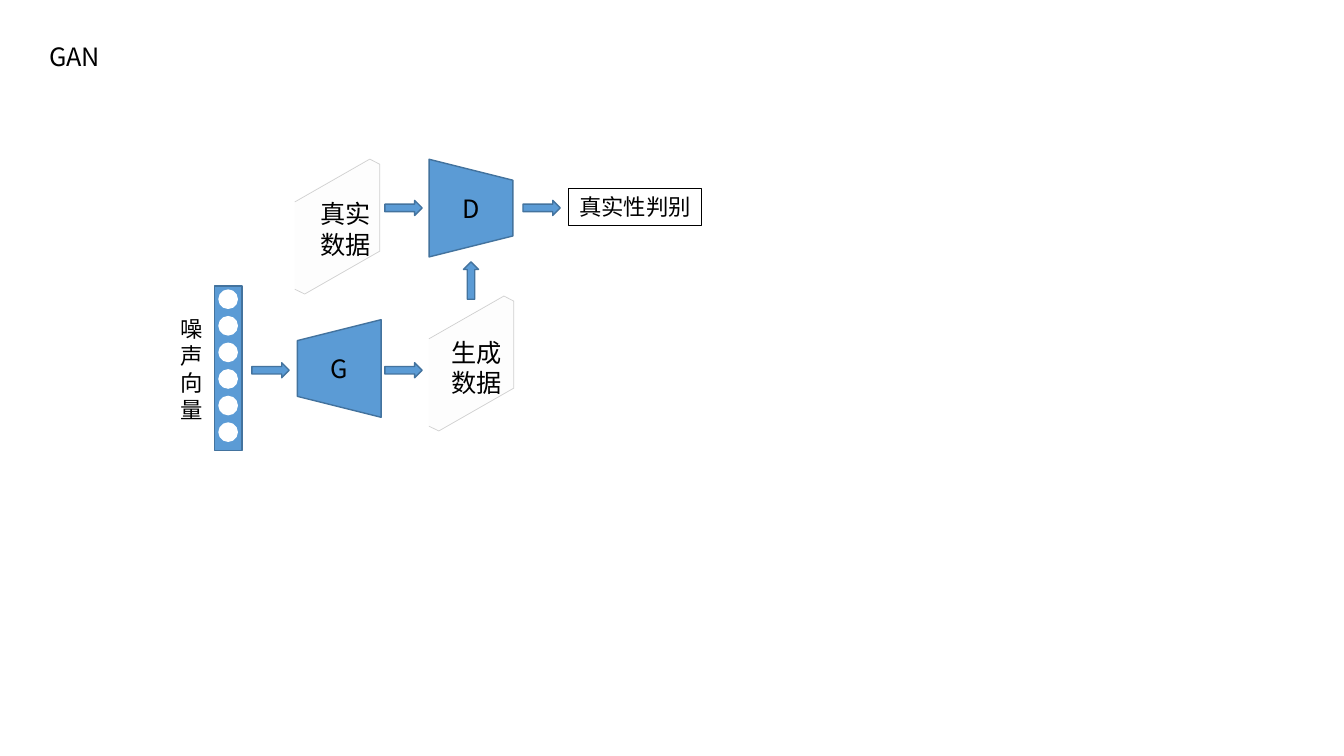
"""Build a slide that outlines a generative adversarial network."""
from lxml import etree
from pptx import Presentation
from pptx.dml.color import RGBColor
from pptx.enum import shapes, text
from pptx.oxml import ns
from pptx.util import Cm, Pt

BLACK = RGBColor(0x00, 0x00, 0x00)
WHITE = RGBColor(0xFF, 0xFF, 0xFF)
BLUE = RGBColor(0x5B, 0x9B, 0xD5)
DARK_BLUE = RGBColor(0x43, 0x73, 0x9E)
PANEL_FILL = RGBColor(0xFD, 0xFD, 0xFD)
PANEL_LINE = RGBColor(0xD0, 0xD0, 0xD0)

FONT = "Noto Sans CJK SC"
KINDS = shapes.MSO_SHAPE
PANEL_OUTLINE = [(0, 1.08), (1.89, 0), (2.14, 0.13), (2.14, 2.32), (0.25, 3.4), (0, 3.28)]


def set_attributes(target, values):
    """Set each attribute named in a dict of format values."""
    for name, value in values.items():
        setattr(target, name, value)


def paint(shape, fill, line, width=1):
    """Give a shape its fill and line, without a shadow."""
    shape.shadow.inherit = False
    if fill is None:
        shape.fill.background()
    else:
        shape.fill.solid()
        shape.fill.fore_color.rgb = fill
    shape.line.color.rgb = line
    shape.line.width = Pt(width)


def add_block(slide, kind, box, fill=BLUE, line=DARK_BLUE, rotation=0, width=1):
    """Add a preset shape whose box is given in centimetres."""
    shape = slide.shapes.add_shape(kind, *map(Cm, box))
    paint(shape, fill, line, width)
    shape.rotation = rotation
    return shape


def add_arrow(slide, left, top, rotation=0):
    """Add one block arrow of the common size."""
    add_block(slide, KINDS.RIGHT_ARROW, (left, top, 0.94, 0.38), rotation=rotation)


def add_panel(slide, left, top):
    """Add a slanted data panel that is open on its left edge."""
    points = [(Cm(left + x), Cm(top + y)) for x, y in PANEL_OUTLINE]
    builder = slide.shapes.build_freeform(*points[0])
    builder.add_line_segments(points[1:], close=False)
    paint(builder.convert_to_shape(), PANEL_FILL, PANEL_LINE, 0.5)


def write(shape, lines, size=18, wrap=False, align=text.PP_ALIGN.LEFT):
    """Write lines of text into a shape, one paragraph each."""
    frame = shape.text_frame
    set_attributes(frame, {"word_wrap": wrap, "vertical_anchor": text.MSO_ANCHOR.TOP})
    frame.text = "\n".join(lines)
    for paragraph in frame.paragraphs:
        set_attributes(paragraph, {"alignment": align, "line_spacing": Pt(size * 1.2)})
        font = paragraph.runs[0].font
        set_attributes(font, {"name": FONT, "size": Pt(size)})
        font.color.rgb = BLACK
        etree.SubElement(font._element, ns.qn("a:ea"), typeface=FONT)


def add_label(slide, box, *lines, **style):
    """Add a text box whose box is given in centimetres."""
    write(slide.shapes.add_textbox(*map(Cm, box)), lines, **style)


def add_noise_vector(slide):
    """Add the noise vector: a bar with six evenly spaced cells."""
    add_block(slide, KINDS.RECTANGLE, (5.41, 7.21, 0.69, 4.14))
    for index in range(6):
        cell = (5.52, 7.31 + 0.67 * index, 0.46, 0.46)
        add_block(slide, KINDS.OVAL, cell, WHITE, WHITE)
    add_label(slide, (4.29, 7.82, 0.99, 3), "噪声向量", size=16, wrap=True)


def add_network(slide, left, top, rotation, name):
    """Add a network as a turned trapezoid with its letter in the middle."""
    add_block(slide, KINDS.TRAPEZOID, (left, top, 2.46, 2.11), rotation=rotation)
    add_label(slide, (left + 0.76, top + 0.56, 0.94, 1.02), name)


def main():
    """Build and save the slide."""
    presentation = Presentation()
    set_attributes(presentation, {"slide_width": Cm(33.87), "slide_height": Cm(19.05)})
    slide = presentation.slides.add_slide(presentation.slide_layouts[6])

    add_label(slide, (0.99, 0.91, 1.83, 1.02), "GAN")
    add_noise_vector(slide)
    add_network(slide, 10.64, 4.19, 90, "D")
    add_network(slide, 7.32, 8.23, 270, "G")

    add_panel(slide, 10.81, 7.46)
    add_label(slide, (11.13, 8.38, 1.8, 1.8), "生成", "数据")
    add_panel(slide, 7.43, 4.01)
    add_label(slide, (7.82, 4.88, 1.8, 1.8), "真实", "数据")

    for left, top in [(6.35, 9.14), (9.7, 9.14), (9.7, 5.05), (13.18, 5.05)]:
        add_arrow(slide, left, top)
    add_arrow(slide, 11.4, 6.88, 270)

    verdict = add_block(slide, KINDS.RECTANGLE, (14.33, 4.75, 3.35, 0.94), None, BLACK, width=0.75)
    write(verdict, ["真实性判别"], size=16, wrap=True, align=text.PP_ALIGN.CENTER)

    presentation.save("out.pptx")


if __name__ == "__main__":
    main()
